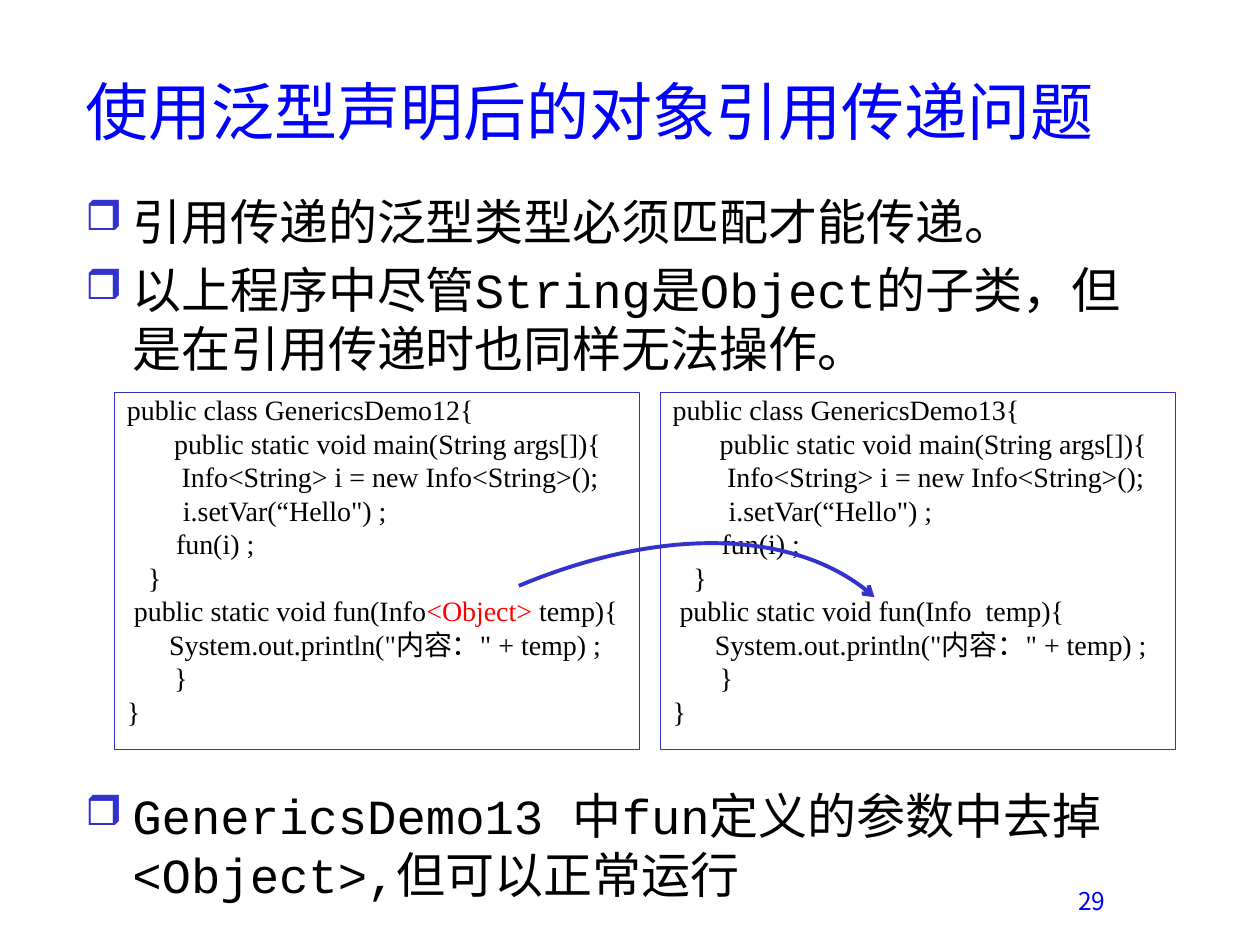
from lxml import etree
from pptx import Presentation
from pptx import util as u
from pptx.dml.color import RGBColor
from pptx.enum import shapes, text
from pptx.oxml.ns import qn

COLORS = {"blue": "0000FF", "accent": "3333CC", "black": "000000", "red": "FF0000"}
CJK, MONO, SERIF = "Noto Sans CJK SC", "Courier New", "Times New Roman"

TITLE = "使用泛型声明后的对象引用传递问题"
RULES = ["引用传递的泛型类型必须匹配才能传递。",
         "以上程序中尽管String是Object的子类，但是在引用传递时也同样无法操作。"]
CONCLUSION = ["GenericsDemo13 中fun定义的参数中去掉<Object>,但可以正常运行"]
PAGE_NUMBER = "29"

# Each listing: left, width (cm), class name, pieces of the fun signature
LISTINGS = [
    (2.31, 10.59, "GenericsDemo12",
     [("public static void fun(Info", "black"), ("<Object>", "red"), (" temp){", "black")]),
    (13.31, 10.39, "GenericsDemo13",
     [("public static void fun(Info  temp){", "black")]),
]
LISTING_TOP, LISTING_HEIGHT = 7.92, 7.19
# Start, two control points and end (cm)
ARROW_CURVE = [(10.46, 11.81), (13.31, 10.62), (16.15, 10.69), (17.63, 12.04)]


def code_lines(class_name, signature):
    """Return (indent in cm, pieces) for every line of a listing."""
    return [
        (0, [(f"public class {class_name}{{", "black")]),
        (0.95, [("public static void main(String args[]){", "black")]),
        (1.1, [("Info<String> i = new Info<String>();", "black")]),
        (1.13, [("i.setVar(“Hello\") ;", "black")]),
        (0.99, [("fun(i) ;", "black")]),
        (0.42, [("}", "black")]),
        (0.14, signature),
        (0.85, [("System.out.println(\"内容：\" + temp) ;", "black")]),
        (0.95, [("}", "black")]),
        (0, [("}", "black")]),
    ]


def rgb(name):
    return RGBColor.from_string(COLORS[name])


def add_run(paragraph, content, size, font, color):
    run = paragraph.add_run()
    run.text = content
    run.font.size = u.Pt(size)
    run.font.name = font
    run.font.color.rgb = rgb(color)
    etree.SubElement(run.font._element, qn("a:ea"), typeface=CJK)


def next_paragraph(frame, index):
    return frame.paragraphs[0] if index == 0 else frame.add_paragraph()


def set_indent(paragraph, left, first=0):
    properties = paragraph._p.get_or_add_pPr()
    properties.set("marL", str(u.Cm(left)))
    properties.set("indent", str(u.Cm(first)))
    return properties


def add_text_box(slide, left, top, width, height):
    box = slide.shapes.add_textbox(u.Cm(left), u.Cm(top), u.Cm(width), u.Cm(height))
    box.text_frame.word_wrap = True
    return box.text_frame


def add_bullets(slide, items, left, top, width, height):
    frame = add_text_box(slide, left, top, width, height)
    for index, item in enumerate(items):
        paragraph = next_paragraph(frame, index)
        paragraph.space_before = u.Pt(5.6)
        properties = set_indent(paragraph, 0.95, -0.95)
        color = etree.SubElement(properties, qn("a:buClr"))
        etree.SubElement(color, qn("a:srgbClr"), val=COLORS["accent"])
        etree.SubElement(properties, qn("a:buSzPct"), val="85000")
        etree.SubElement(properties, qn("a:buChar"), char="❒")
        add_run(paragraph, item, 28, MONO, "black")


def add_listing(slide, left, width, class_name, signature):
    box = slide.shapes.add_shape(shapes.MSO_SHAPE.RECTANGLE, u.Cm(left), u.Cm(LISTING_TOP),
                                 u.Cm(width), u.Cm(LISTING_HEIGHT))
    box.shadow.inherit = False
    box.fill.background()
    box.line.color.rgb = rgb("accent")
    box.line.width = u.Pt(0.75)
    frame = box.text_frame
    frame.word_wrap = True
    frame.vertical_anchor = text.MSO_ANCHOR.TOP
    for index, (indent, pieces) in enumerate(code_lines(class_name, signature)):
        paragraph = next_paragraph(frame, index)
        paragraph.alignment = text.PP_ALIGN.LEFT
        paragraph.line_spacing = 0.8
        paragraph.space_before = u.Pt(3.8)
        set_indent(paragraph, indent)
        for content, color in pieces:
            add_run(paragraph, content, 16, SERIF, color)


def add_curved_arrow(slide, points):
    """Draw one cubic curve by merging three line segments into a Bezier."""
    start, *rest = [(u.Cm(x), u.Cm(y)) for x, y in points]
    builder = slide.shapes.build_freeform(*start)
    builder.add_line_segments(rest, close=False)
    arrow = builder.convert_to_shape()
    path = arrow._element.find(".//" + qn("a:path"))
    curve = etree.SubElement(path, qn("a:cubicBezTo"))
    for segment in path.findall(qn("a:lnTo")):
        curve.append(segment[0])
        path.remove(segment)
    arrow.shadow.inherit = False
    arrow.fill.background()
    arrow.line.color.rgb = rgb("accent")
    arrow.line.width = u.Pt(2.25)
    etree.SubElement(arrow.line._get_or_add_ln(), qn("a:tailEnd"), type="arrow")


def main():
    presentation = Presentation()
    presentation.slide_width, presentation.slide_height = u.Cm(25.4), u.Cm(19.05)
    slide = presentation.slides.add_slide(presentation.slide_layouts[5])

    title = slide.shapes.title
    title.left, title.top, title.width, title.height = map(u.Cm, (1.47, 0.64, 21.59, 3.18))
    title.text_frame.vertical_anchor = text.MSO_ANCHOR.MIDDLE
    heading = title.text_frame.paragraphs[0]
    heading.alignment = text.PP_ALIGN.LEFT
    add_run(heading, TITLE, 36, CJK, "blue")

    add_bullets(slide, RULES, 1.47, 3.73, 22.33, 3)
    for listing in LISTINGS:
        add_listing(slide, *listing)
    add_curved_arrow(slide, ARROW_CURVE)
    add_bullets(slide, CONCLUSION, 1.47, 15.72, 22.23, 2.64)

    number = add_text_box(slide, 21.49, 17.73, 1.7, 0.74)
    add_run(number.paragraphs[0], PAGE_NUMBER, 14, CJK, "blue")

    presentation.save("out.pptx")


if __name__ == "__main__":
    main()
